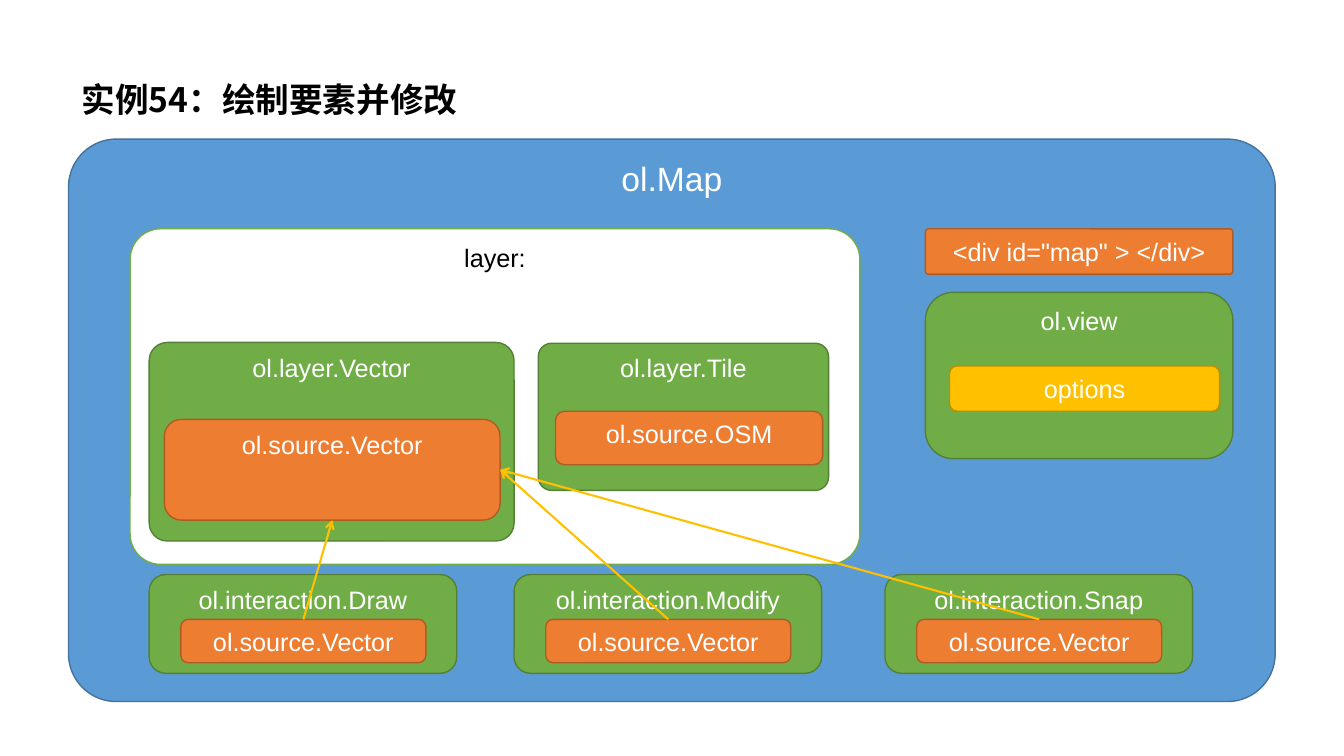
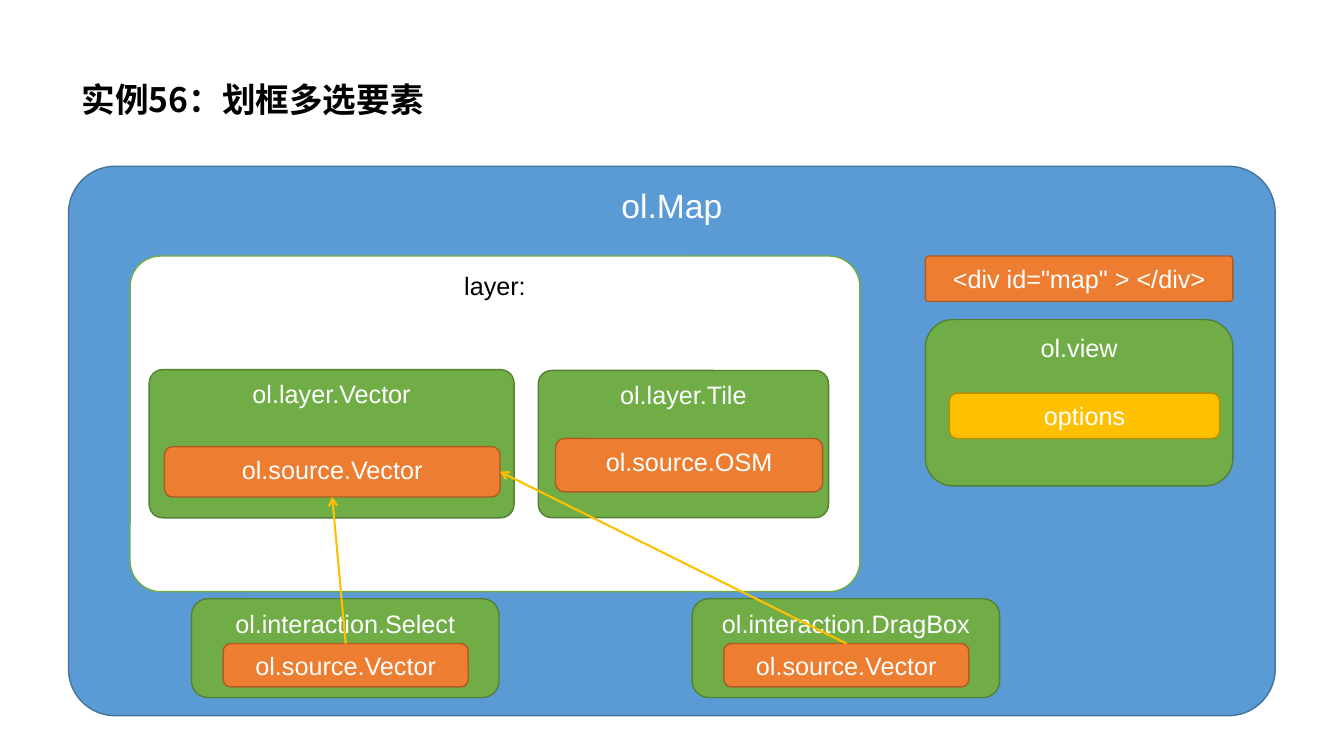
import lxml.etree
import pptx
import pptx.dml.color
import pptx.enum.shapes
import pptx.enum.text
import pptx.oxml.ns
import pptx.util

ALIGN = pptx.enum.text.PP_ALIGN
ANCHOR = pptx.enum.text.MSO_ANCHOR
TOP, BOTTOM, RIGHT = 0, 2, 3  # connection sites of a rounded rectangle


def colour(value):
    return pptx.dml.color.RGBColor.from_string(value)


def add_tag(parent, tag, **attributes):
    lxml.etree.SubElement(parent, pptx.oxml.ns.qn(tag), **attributes)


def write(box, text, *, size=18, font="Arial", ink="FFFFFF", bold=False,
          align=ALIGN.CENTER, anchor=ANCHOR.TOP, spacing=1.0):
    frame = box.text_frame
    frame.word_wrap = True
    frame.vertical_anchor = anchor
    para = frame.paragraphs[0]
    para.alignment = align
    para.line_spacing = spacing
    span = para.add_run()
    span.text = text
    span.font.name = font
    span.font.size = pptx.util.Pt(size)
    span.font.bold = bold
    span.font.color.rgb = colour(ink)
    properties = next(box.element.iter(pptx.oxml.ns.qn("a:rPr")))
    add_tag(properties, "a:ea", typeface=font)


class Diagram:
    """Holds the style and the current page; lengths are percent of the slide."""

    # fill and outline of each kind of box
    STYLES = {
        "map": ("5B9BD5", "43739E"),
        "part": ("70AD47", "538035"),
        "source": ("ED7D31", "AF5C24"),
        "option": ("FFC000", "BD8E00"),
        "group": ("FFFFFF", "70AD47"),
    }
    ARROW = "FFC000"

    def __init__(self):
        self.deck = pptx.Presentation()
        self.deck.slide_width = pptx.util.Inches(13.333)
        self.deck.slide_height = pptx.util.Inches(7.5)
        self.page = None

    def across(self, share):
        return round(self.deck.slide_width * share / 100)

    def down(self, share):
        return round(self.deck.slide_height * share / 100)

    def area(self, left, top, width, height):
        return (self.across(left), self.down(top),
                self.across(width), self.down(height))

    def new_page(self, title):
        self.page = self.deck.slides.add_slide(self.deck.slide_layouts[5])
        box = self.page.shapes.title
        box.left, box.top, box.width, box.height = self.area(5.33, 3.73, 86.25, 19.33)
        write(box, title, size=24, font="Noto Sans CJK SC", ink="000000",
              bold=True, align=ALIGN.LEFT, anchor=ANCHOR.MIDDLE, spacing=0.9)

    def box(self, style, text, place, rounding=0.167, **text_format):
        box = self.page.shapes.add_shape(
            pptx.enum.shapes.MSO_SHAPE.ROUNDED_RECTANGLE, *self.area(*place))
        box.adjustments[0] = rounding
        box.shadow.inherit = False
        fill, outline = self.STYLES[style]
        box.fill.solid()
        box.fill.fore_color.rgb = colour(fill)
        box.line.color.rgb = colour(outline)
        box.line.width = pptx.util.Pt(1)
        write(box, text, **text_format)
        return box

    def arrow(self, start, end, end_site):
        line = self.page.shapes.add_connector(
            pptx.enum.shapes.MSO_CONNECTOR.STRAIGHT, 0, 0, 0, 0)
        line.begin_connect(start, TOP)
        line.end_connect(end, end_site)
        line.line.color.rgb = colour(self.ARROW)
        line.line.width = pptx.util.Pt(1.5)
        properties = line.element.spPr
        add_tag(properties.find(pptx.oxml.ns.qn("a:ln")), "a:tailEnd", type="arrow")
        add_tag(properties, "a:effectLst")

    def interaction(self, name, left, top):
        self.box("part", "ol.interaction." + name, (left, top, 22.88, 13.07))
        return self.box("source", "ol.source.Vector",
                        (left + 2.36, top + 5.93, 18.23, 5.73))

    def map_page(self, title, top, height, layer_height, source_height,
                 interaction_top, interactions):
        self.new_page(title)

        # Map, its target and its view
        self.box("map", "ol.Map", (5.1, top, 89.78, height), 0.085, size=24)
        self.box("source", '<div id="map" > </div>',
                 (68.85, top + 11.87, 22.88, 6), 0.069, anchor=ANCHOR.MIDDLE)
        self.box("part", "ol.view", (68.85, top + 20.27, 22.88, 22))
        self.box("option", "options", (70.65, top + 30, 20.1, 6))

        # Layers and their sources
        self.box("group", "layer:", (9.68, top + 11.87, 54.3, 44.4), 0.091,
                 ink="000000")
        self.box("part", "ol.layer.Vector",
                 (11.1, top + 26.9, 27.15, layer_height), 0.091)
        source = self.box("source", "ol.source.Vector",
                          (12.23, top + 37.07, 24.98, source_height))
        self.box("part", "ol.layer.Tile", (40.05, top + 27, 21.6, 19.47), 0.091)
        self.box("source", "ol.source.OSM", (41.33, top + 36, 19.88, 7.07))

        # Interactions: the first points up, the others to the right side
        starts = [self.interaction(name, left, interaction_top)
                  for name, left in interactions]
        for index, start in enumerate(starts):
            self.arrow(start, source, RIGHT if index else BOTTOM)


def main():
    diagram = Diagram()
    diagram.map_page(
        "实例54：绘制要素并修改", top=18.4, height=74.4,
        layer_height=26.27, source_height=13.33, interaction_top=76,
        interactions=[("Draw", 11.1), ("Modify", 38.25), ("Snap", 65.85)])
    diagram.map_page(
        "实例56：划框多选要素", top=22, height=72.67,
        layer_height=19.6, source_height=6.67, interaction_top=79.2,
        interactions=[("Select", 14.25), ("DragBox", 51.5)])
    diagram.deck.save("out.pptx")


if __name__ == "__main__":
    main()
